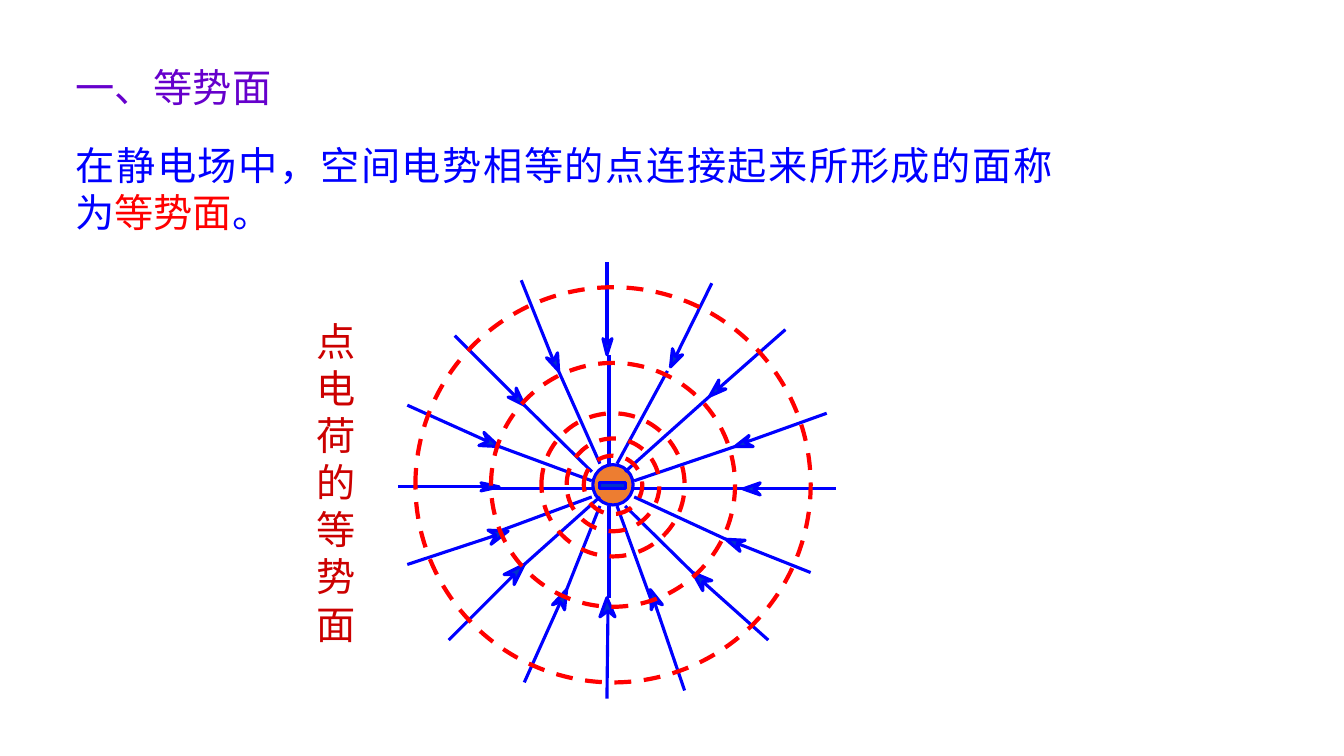
from dataclasses import dataclass
from typing import NamedTuple

from lxml import etree
from pptx import Presentation
from pptx.dml.color import RGBColor
from pptx.enum.dml import MSO_LINE
from pptx.enum.shapes import MSO_CONNECTOR, MSO_SHAPE
from pptx.enum.text import PP_ALIGN
from pptx.oxml.ns import qn
from pptx.util import Inches, Pt


@dataclass(frozen=True)
class Theme:
    font: str = "Times New Roman"
    size: float = 28
    line_width: float = 2.25
    ring_width: float = 3
    blue: str = "0000FF"
    deep_blue: str = "0033CC"
    red: str = "FF0000"
    dark_red: str = "CC0000"
    purple: str = "6600CC"
    orange: str = "ED7D31"


class FieldLine(NamedTuple):
    outer: tuple
    notch: tuple
    wing_a: tuple
    tip: tuple
    wing_b: tuple
    join: tuple
    inner: tuple


THEME = Theme()
CENTER = (6.08, 4.81)
CHARGE_RADIUS = 0.2
RING_RADII = (1.21, 0.71, 0.46, 0.29, 1.96)

FIELD_LINES = [FieldLine(*points) for points in (
    ((3.95, 4.83), (4.83, 4.83), (4.77, 4.87), (4.95, 4.83), (4.77, 4.79), (4.87, 4.85), (5.87, 4.85)),
    ((4.04, 4.02), (4.84, 4.38), (4.75, 4.42), (4.95, 4.43), (4.8, 4.29), (4.95, 4.43), (5.87, 4.77)),
    ((4.51, 3.33), (5.12, 3.94), (5.04, 3.94), (5.2, 4.02), (5.12, 3.85), (5.2, 4.02), (5.87, 4.68)),
    ((5.17, 2.78), (5.49, 3.58), (5.42, 3.55), (5.54, 3.68), (5.53, 3.5), (5.54, 3.68), (5.95, 4.6)),
    ((6.02, 2.6), (6.02, 3.41), (5.98, 3.36), (6.02, 3.52), (6.07, 3.36), (6.04, 3.52), (6.04, 4.6)),
    ((7.06, 2.81), (6.7, 3.54), (6.67, 3.46), (6.65, 3.64), (6.77, 3.52), (6.62, 3.68), (6.12, 4.6)),
    ((7.79, 3.27), (7.12, 3.86), (7.13, 3.77), (7.04, 3.93), (7.2, 3.86), (7.04, 3.93), (6.2, 4.68)),
    ((8.2, 4.1), (7.39, 4.39), (7.43, 4.32), (7.29, 4.43), (7.47, 4.43), (7.29, 4.43), (6.29, 4.77)),
    ((8.29, 4.85), (7.48, 4.85), (7.54, 4.79), (7.37, 4.85), (7.54, 4.91), (7.37, 4.85), (6.29, 4.85)),
    ((8.04, 5.68), (7.31, 5.39), (7.39, 5.36), (7.2, 5.35), (7.34, 5.47), (7.2, 5.35), (6.29, 4.93)),
    ((7.62, 6.35), (6.97, 5.77), (7.06, 5.76), (6.87, 5.68), (6.97, 5.86), (6.87, 5.68), (6.2, 5.02)),
    ((6.79, 6.85), (6.49, 5.97), (6.57, 6), (6.45, 5.85), (6.46, 6.05), (6.45, 5.93), (6.12, 5.02)),
    ((6.02, 6.93), (6.03, 6.06), (6.1, 6.12), (6.02, 5.93), (5.95, 6.12), (6.04, 5.93), (6.04, 5.02)),
    ((5.2, 6.77), (5.56, 5.97), (5.6, 6.05), (5.62, 5.85), (5.48, 6), (5.62, 5.85), (5.95, 5.02)),
    ((4.45, 6.35), (5.1, 5.7), (5.1, 5.8), (5.2, 5.6), (5, 5.7), (5.2, 5.6), (5.95, 4.93)),
    ((4.04, 5.6), (4.92, 5.31), (4.87, 5.4), (5.04, 5.27), (4.84, 5.26), (4.95, 5.27), (5.87, 4.93)),
)]


def rgb(color):
    return RGBColor.from_string(color)


def emu(point):
    return tuple(Inches(v) for v in point)


def style_line(line, color, width):
    line.color.rgb = rgb(color)
    line.width = Pt(width)


def style_shape(sp, fill, line_color, width):
    sp.shadow.inherit = False
    if fill:
        sp.fill.solid()
        sp.fill.fore_color.rgb = rgb(fill)
    else:
        sp.fill.background()
    style_line(sp.line, line_color, width)


def add_text(slide, left, top, width, height, parts, align=PP_ALIGN.JUSTIFY):
    sp = slide.shapes.add_textbox(*emu((left, top, width, height)))
    tf = sp.text_frame
    tf.word_wrap = True
    p = tf.paragraphs[0]
    p.alignment = align
    for text, color in parts:
        r = p.add_run()
        r.text = text
        r.font.name = THEME.font
        r.font.size = Pt(THEME.size)
        r.font.color.rgb = rgb(color)


def add_line(slide, start, end):
    sp = slide.shapes.add_connector(MSO_CONNECTOR.STRAIGHT, *emu(start), *emu(end))
    style_line(sp.line, THEME.blue, THEME.line_width)
    etree.SubElement(sp._element.spPr, qn("a:effectLst"))


def add_arrowhead(slide, points):
    start, *rest = [emu(point) for point in points]
    builder = slide.shapes.build_freeform(*start, scale=1.0)
    builder.add_line_segments(rest, close=True)
    style_shape(builder.convert_to_shape(), THEME.deep_blue, THEME.blue, THEME.line_width)


def add_field_line(slide, field):
    add_line(slide, field.outer, field.notch)
    add_arrowhead(slide, (field.wing_a, field.tip, field.wing_b, field.notch))
    add_line(slide, field.join, field.inner)


def add_circle(slide, radius, fill, color, width):
    x, y = CENTER
    box = (x - radius, y - radius, 2 * radius, 2 * radius)
    sp = slide.shapes.add_shape(MSO_SHAPE.OVAL, *emu(box))
    style_shape(sp, fill, color, width)
    return sp


def add_charge(slide):
    add_circle(slide, CHARGE_RADIUS, THEME.orange, THEME.blue, THEME.line_width)
    minus = slide.shapes.add_shape(MSO_SHAPE.RECTANGLE, *emu((5.95, 4.79, 0.25, 0.06)))
    style_shape(minus, THEME.deep_blue, THEME.blue, THEME.line_width)


def add_ring(slide, radius):
    ring = add_circle(slide, radius, None, THEME.red, THEME.ring_width)
    ring.line.dash_style = MSO_LINE.DASH


def main():
    prs = Presentation()
    prs.slide_width, prs.slide_height = Inches(13.33), Inches(7.5)
    slide = prs.slides.add_slide(prs.slide_layouts[6])

    add_text(slide, 0.65, 0.58, 5.99, 0.57, [("一、等势面", THEME.purple)])
    add_text(slide, 0.65, 1.35, 9.89, 1.04, [
        ("在静电场中，空间电势相等的点连接起来所形成的面称为", THEME.blue),
        ("等势面", THEME.red),
        ("。", THEME.blue),
    ])

    add_charge(slide)
    for field in FIELD_LINES:
        add_field_line(slide, field)
    for radius in RING_RADII:
        add_ring(slide, radius)

    add_text(slide, 3.04, 3.1, 0.67, 3.4, [("点电荷的等势面", THEME.dark_red)], PP_ALIGN.LEFT)
    prs.save("out.pptx")


if __name__ == "__main__":
    main()
